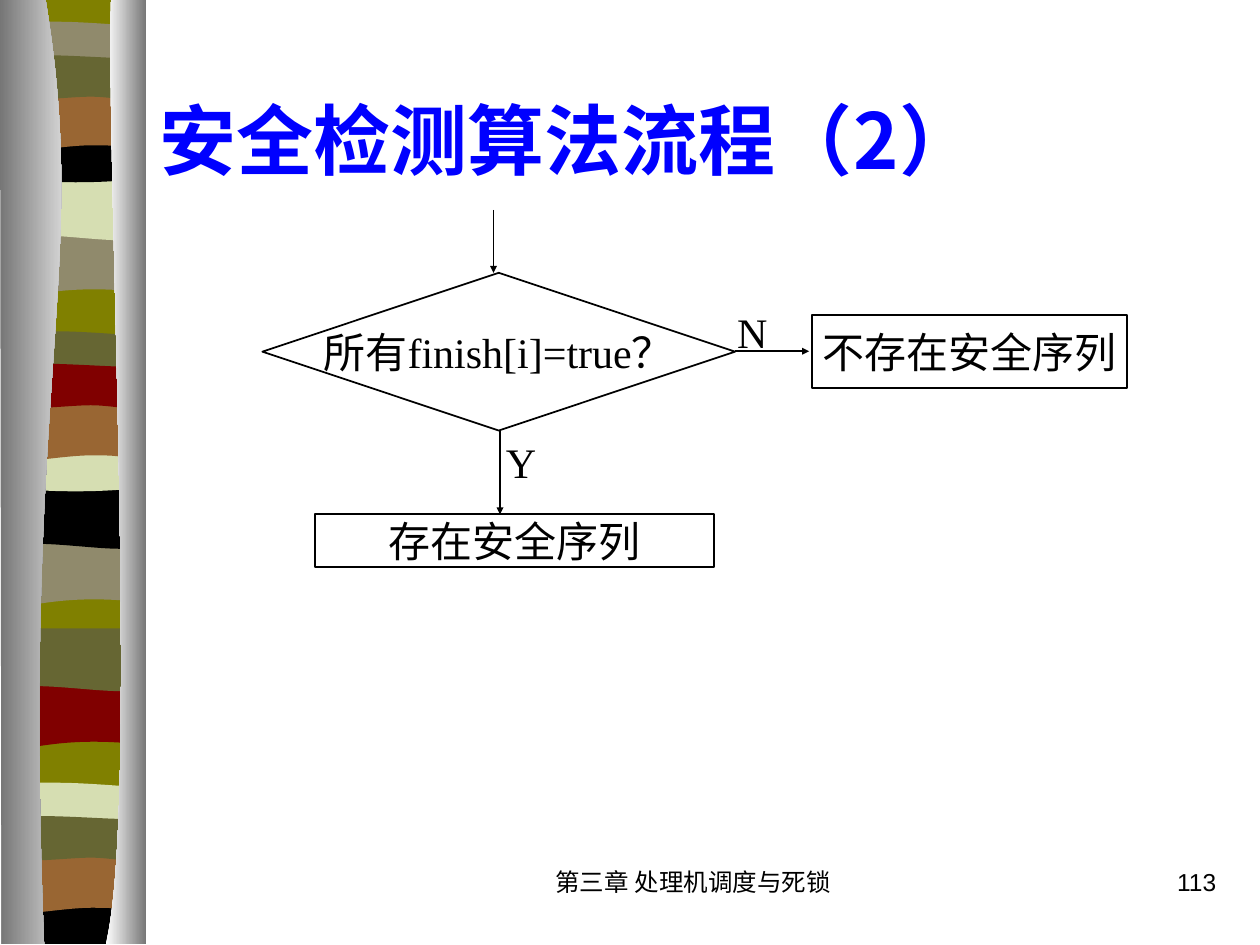
from dataclasses import dataclass

from lxml import etree
from pptx import Presentation
from pptx import util as u
from pptx.dml.color import RGBColor
from pptx.enum import shapes, text
from pptx.oxml import ns


@dataclass(frozen=True)
class Theme:
    ink: str = "000000"
    title: str = "0000FF"
    olive: str = "808000"
    taupe: str = "908A6C"
    cream: str = "D6DEB2"
    brown: str = "996633"
    moss: str = "666633"
    maroon: str = "800000"
    rail_dark: str = "767676"
    rail_light: str = "FFFFFF"
    title_size: int = 44
    chart_size: int = 24
    footer_size: int = 14
    line_width: int = 1
    serif: str = "Times New Roman"
    sans: str = "Arial"
    chinese: str = "Noto Sans CJK SC"


THEME = Theme()
BAND_LEFT = 0.15

OUTLINES = {
    "base": [(2.74, 0), (2.74, 19), (0, 19), (0, 0)],
    "dip": [(2.74, 0), (2.74, 1.19), (0.84, 0.99, 0.46, 1.4, 0, 1.19), (0, 0)],
    "swell": [(2.74, 0), (2.74, 1.2), (2.29, 1.4, 0.84, 1.05, 0, 1.2), (0, 0)],
    "lens": [(2.74, 0.13), (2.74, 0.74), (2.29, 0.84, 0.46, 0.84, 0, 0.74), (0, 0.13),
             (0.15, 0, 0.58, 0.03, 1.04, 0.03), (1.5, 0.03, 2.39, 0.1, 2.74, 0.13)],
    "bowl": [(2.74, 0), (2.74, 0.83), (2.29, 0.97, 0.46, 0.97, 0, 0.83), (0, 0),
             (1.68, 0.13, 2.16, 0, 2.74, 0)],
    "floor": [(2.74, 0), (2.74, 0.95), (0, 0.95), (0, 0),
              (1.68, 0.13, 2.16, 0, 2.74, 0)],
    "arch": [(2.74, 0), (2.74, 1.19), (2.31, 1.05, 2.13, 1.05, 1.68, 1.05),
             (1.22, 1.05, 0.41, 1.19, 0, 1.19), (0, 0)],
    "ripple": [(2.74, 0.13), (2.74, 0.91), (2.57, 1.04, 2.13, 0.91, 1.68, 0.91),
               (1.22, 0.91, 0.28, 1.04, 0, 0.91), (0, 0.13),
               (0.38, 0, 1.85, 0.13, 2.31, 0.13), (2.77, 0.13, 2.66, 0.13, 2.74, 0.13)],
    "left rail": [(0.92, 0), (1.83, 5.49, 0.43, 7.52, 0.89, 19.04), (0.03, 19.04), (0, 0)],
    "right rail": [(2.24, 0), (2.13, 3.18, 2.82, 16.41, 2.13, 19.04), (2.95, 19.04), (2.95, 0)],
}

BANDS = [
    ("base", 0, THEME.olive),
    ("dip", 4.7, THEME.taupe), ("swell", 3.58, THEME.cream),
    ("lens", 0.41, THEME.taupe), ("bowl", 2.74, THEME.ink),
    ("arch", 1.88, THEME.brown), ("ripple", 1.04, THEME.moss),
    ("dip", 10.95, THEME.taupe), ("swell", 9.8, THEME.ink),
    ("lens", 6.65, THEME.moss), ("bowl", 8.97, THEME.cream),
    ("arch", 8.13, THEME.brown), ("ripple", 7.26, THEME.maroon),
    ("dip", 13.82, THEME.maroon), ("swell", 12.67, THEME.moss),
    ("lens", 15.75, THEME.cream), ("floor", 18.08, THEME.ink),
    ("arch", 17.25, THEME.brown), ("ripple", 16.38, THEME.moss),
]


def color(value):
    return RGBColor.from_string(value)


def bend_segments(shape, outline):
    segments = iter(list(shape._element.iter(ns.qn("a:lnTo"))))
    for step in outline[1:]:
        segment = next(segments)
        if len(step) == 2:
            continue
        curve = etree.Element(ns.qn("a:cubicBezTo"))
        segment.addprevious(curve)
        for part in (segment, next(segments), next(segments)):
            curve.append(part[0])
            part.getparent().remove(part)


def add_outline(slide, name, left, top):
    outline = OUTLINES[name]
    points = [(u.Cm(left + step[index]), u.Cm(top + step[index + 1]))
              for step in outline for index in range(0, len(step), 2)]
    builder = slide.shapes.build_freeform(*points[0])
    builder.add_line_segments(points[1:], close=True)
    shape = builder.convert_to_shape()
    bend_segments(shape, outline)
    shape.shadow.inherit = False
    shape.line.fill.background()
    return shape


def add_band(slide, name, top, fill):
    shape = add_outline(slide, name, BAND_LEFT, top)
    shape.fill.solid()
    shape.fill.fore_color.rgb = color(fill)


def add_rail(slide, name, start, end):
    fill = add_outline(slide, name, 0, 0).fill
    fill.gradient()
    fill.gradient_angle = 0
    for stop, value in zip(fill.gradient_stops, (start, end)):
        stop.color.rgb = color(value)


def write_text(shape, content, size=THEME.chart_size, font=THEME.serif, ink=THEME.ink,
               bold=False, align=text.PP_ALIGN.LEFT, anchor=text.MSO_ANCHOR.TOP, wrap=True):
    frame = shape.text_frame
    frame.auto_size = text.MSO_AUTO_SIZE.NONE
    frame.word_wrap = wrap
    frame.vertical_anchor = anchor
    paragraph = frame.paragraphs[0]
    paragraph.alignment = align
    run = paragraph.add_run()
    run.text = content
    run.font.name = font
    run.font.size = u.Pt(size)
    run.font.bold = bold
    run.font.color.rgb = color(ink)
    east_asian = etree.Element(ns.qn("a:ea"), typeface=THEME.chinese)
    run.font._element.find(ns.qn("a:latin")).addnext(east_asian)


def add_label(slide, content, box, **text_format):
    write_text(slide.shapes.add_textbox(*map(u.Cm, box)), content, **text_format)


def add_node(slide, kind, content, box):
    shape = slide.shapes.add_shape(kind, *map(u.Cm, box))
    shape.shadow.inherit = False
    shape.fill.background()
    shape.line.color.rgb = color(THEME.ink)
    shape.line.width = u.Pt(THEME.line_width)
    write_text(shape, content, align=text.PP_ALIGN.CENTER,
               anchor=text.MSO_ANCHOR.MIDDLE, wrap=False)


def add_arrow(slide, *ends):
    connector = slide.shapes.add_connector(shapes.MSO_CONNECTOR.STRAIGHT, *map(u.Cm, ends))
    connector.line.color.rgb = color(THEME.ink)
    connector.line.width = u.Pt(THEME.line_width)
    etree.SubElement(connector.line._get_or_add_ln(), ns.qn("a:tailEnd"),
                     type="triangle", w="sm", len="sm")
    etree.SubElement(connector._element.spPr, ns.qn("a:effectLst"))


def set_title(slide, content, box):
    title = slide.shapes.title
    title.left, title.top, title.width, title.height = map(u.Cm, box)
    write_text(title, content, size=THEME.title_size, font=THEME.chinese, ink=THEME.title,
               bold=True, anchor=text.MSO_ANCHOR.MIDDLE)


def main():
    presentation = Presentation()
    presentation.slide_width, presentation.slide_height = u.Cm(25.4), u.Cm(19.05)
    slide = presentation.slides.add_slide(presentation.slide_layouts[5])

    for band in BANDS:
        add_band(slide, *band)
    add_rail(slide, "left rail", THEME.rail_dark, THEME.rail_light)
    add_rail(slide, "right rail", THEME.rail_light, THEME.rail_dark)

    set_title(slide, "安全检测算法流程（2）", (2.97, 1.7, 18.95, 2.18))

    add_arrow(slide, 9.95, 4.23, 9.95, 5.5)
    add_node(slide, shapes.MSO_SHAPE.FLOWCHART_DECISION, "所有finish[i]=true？",
             (5.29, 5.5, 9.53, 3.18))
    add_arrow(slide, 10.08, 8.68, 10.08, 10.37)
    add_label(slide, "Y", (9.95, 8.68, 1.9, 1.27))
    add_arrow(slide, 14.82, 7.08, 16.31, 7.08)
    add_label(slide, "N", (14.61, 6.06, 1.9, 1.27))
    add_node(slide, shapes.MSO_SHAPE.RECTANGLE, "存在安全序列", (6.35, 10.37, 8.05, 1.06))
    add_node(slide, shapes.MSO_SHAPE.RECTANGLE, "不存在安全序列", (16.37, 6.35, 6.35, 1.48))

    footer_format = {"size": THEME.footer_size, "font": THEME.sans}
    add_label(slide, "第三章 处理机调度与死锁", (9.95, 17.35, 8.05, 1.27),
              align=text.PP_ALIGN.CENTER, **footer_format)
    add_label(slide, "113", (19.48, 17.35, 5.29, 1.27),
              align=text.PP_ALIGN.RIGHT, **footer_format)

    presentation.save("out.pptx")


if __name__ == "__main__":
    main()
